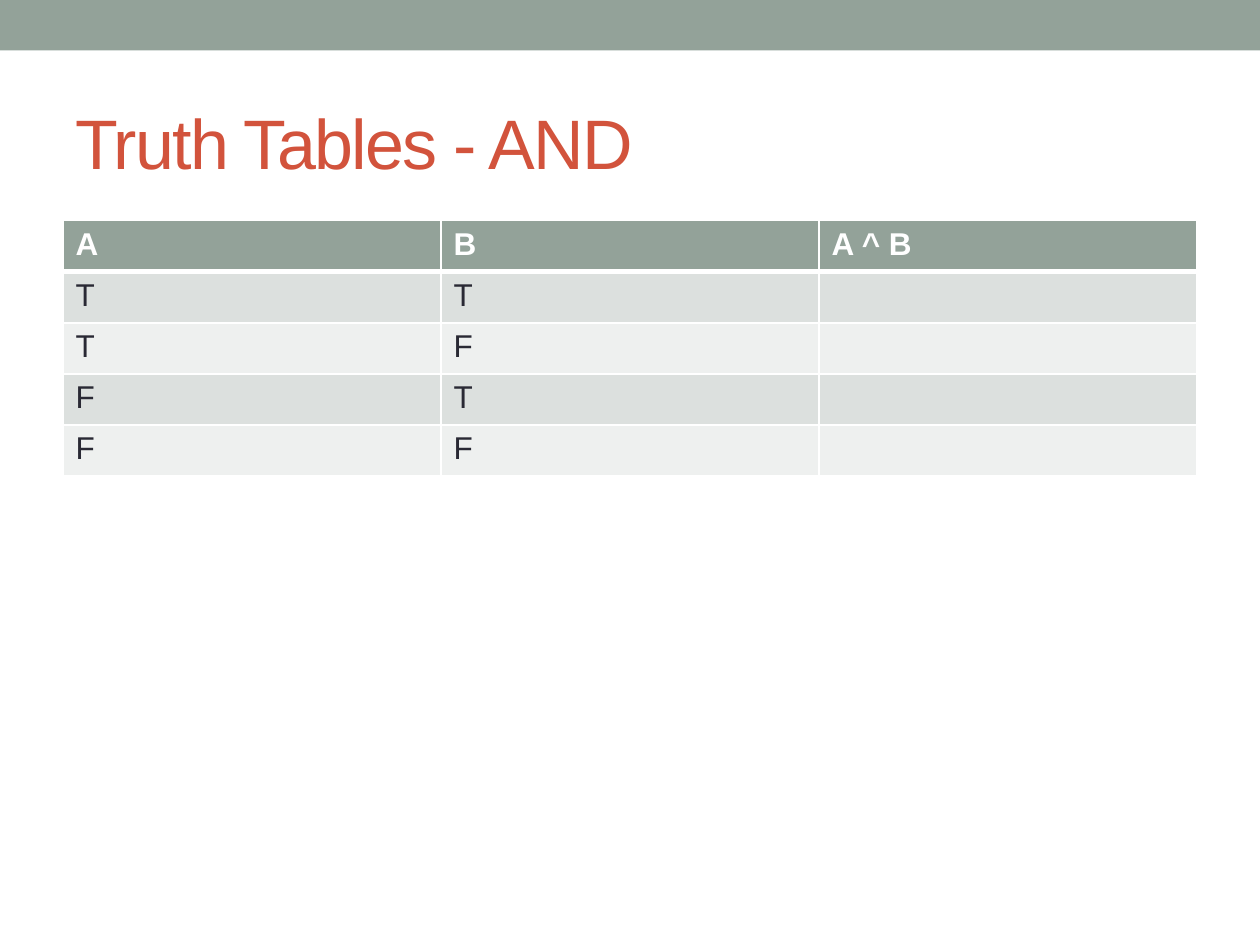
import dataclasses

import lxml.etree
import pptx
import pptx.dml.color
import pptx.enum.shapes
import pptx.enum.text
import pptx.oxml.ns
import pptx.util

Inches = pptx.util.Inches
Pt = pptx.util.Pt
qn = pptx.oxml.ns.qn


@dataclasses.dataclass(frozen=True)
class Theme:
    font: str = "Arial"
    title_size: int = 40
    body_size: int = 18
    sage: str = "93A299"
    rust: str = "D2533C"
    ink: str = "292934"
    white: str = "FFFFFF"
    bands: tuple = ("DCE0DE", "EEF0EF")


class Deck:
    """Holds the theme and the current slide, and draws each kind of element."""

    def __init__(self, prs, theme):
        self.theme = theme
        self.s = prs.slides.add_slide(prs.slide_layouts[5])

    def rgb(self, value):
        return pptx.dml.color.RGBColor.from_string(value)

    def run(self, p, text, size, color, bold=False):
        r = p.add_run()
        r.text = text
        r.font.name = self.theme.font
        r.font.size = Pt(size)
        r.font.bold = bold
        r.font.color.rgb = self.rgb(color)
        return r

    def bar(self, x, y, w, h):
        sp = self.s.shapes.add_shape(
            pptx.enum.shapes.MSO_SHAPE.RECTANGLE,
            Inches(x), Inches(y), Inches(w), Inches(h))
        sp.shadow.inherit = False
        sp.fill.solid()
        sp.fill.fore_color.rgb = self.rgb(self.theme.sage)
        sp.line.fill.background()

    def title(self, text, x, y, w, h):
        sp = self.s.shapes.title
        sp.left, sp.top, sp.width, sp.height = map(Inches, (x, y, w, h))
        tf = sp.text_frame
        tf.word_wrap = True
        tf.vertical_anchor = pptx.enum.text.MSO_ANCHOR.MIDDLE
        p = tf.paragraphs[0]
        p.alignment = pptx.enum.text.PP_ALIGN.LEFT
        r = self.run(p, text, self.theme.title_size, self.theme.rust)
        r.font._element.set("spc", "-100")

    def borders(self, cell, bottom):
        tcPr = cell._tc.get_or_add_tcPr()
        widths = {"a:lnL": 1, "a:lnR": 1, "a:lnT": 1, "a:lnB": bottom}
        for i, (tag, width) in enumerate(widths.items()):
            ln = lxml.etree.Element(qn(tag), w=str(Pt(width)))
            fill = lxml.etree.SubElement(ln, qn("a:solidFill"))
            lxml.etree.SubElement(fill, qn("a:srgbClr"), val=self.theme.white)
            tcPr.insert(i, ln)

    def table(self, rows, x, y, w, h):
        theme = self.theme
        table = self.s.shapes.add_table(
            len(rows), len(rows[0]),
            Inches(x), Inches(y), Inches(w), Inches(h)).table
        for i, row in enumerate(rows):
            header = i == 0
            fill = theme.sage if header else theme.bands[(i - 1) % 2]
            color = theme.white if header else theme.ink
            for j, text in enumerate(row):
                cell = table.cell(i, j)
                cell.fill.solid()
                cell.fill.fore_color.rgb = self.rgb(fill)
                self.borders(cell, 3 if header else 1)
                if text:
                    p = cell.text_frame.paragraphs[0]
                    self.run(p, text, theme.body_size, color, header)


def main():
    prs = pptx.Presentation()
    prs.slide_width, prs.slide_height = Inches(10), Inches(7.5)
    deck = Deck(prs, Theme())
    deck.bar(0, 0, 10, 0.4)
    deck.title("Truth Tables - AND", 0.5, 0.58, 9, 1.08)
    deck.table([
        ("A", "B", "A ^ B"),
        ("T", "T", ""),
        ("T", "F", ""),
        ("F", "T", ""),
        ("F", "F", ""),
    ], 0.5, 1.75, 9, 2.03)
    prs.save("out.pptx")


if __name__ == "__main__":
    main()
